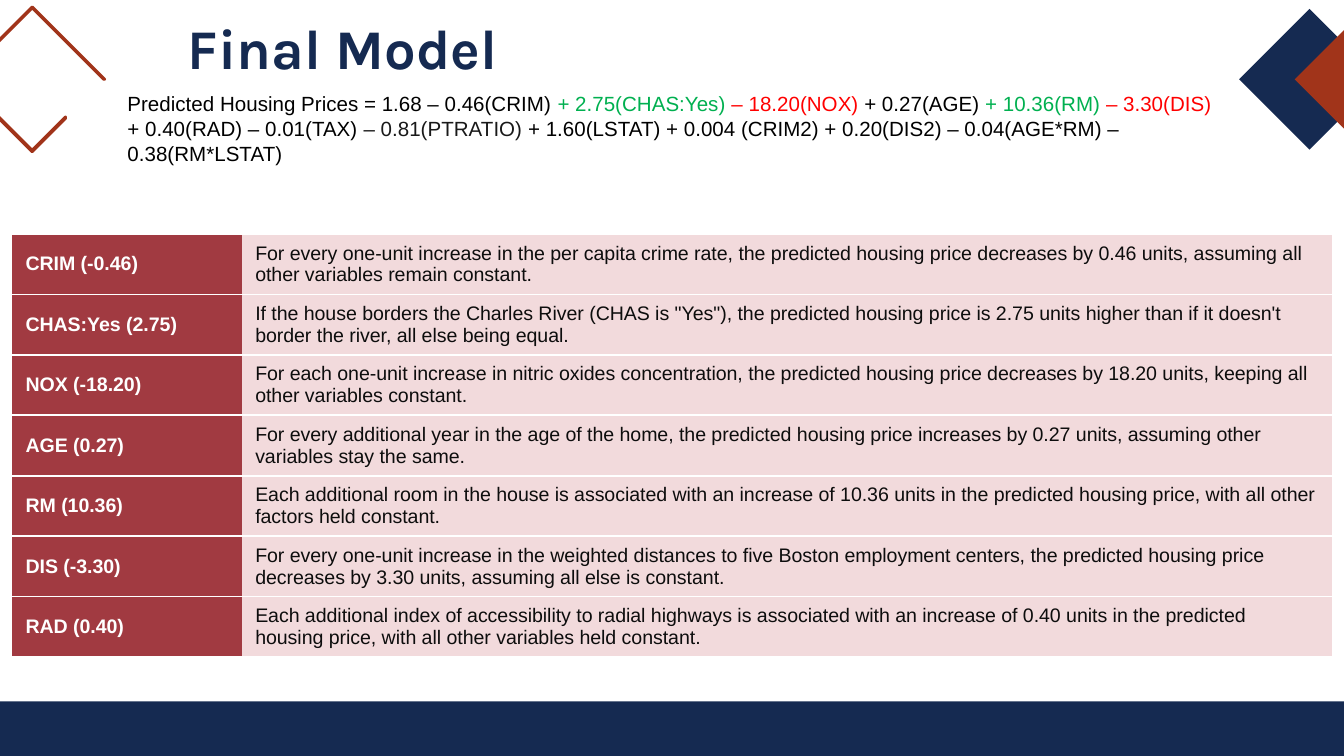
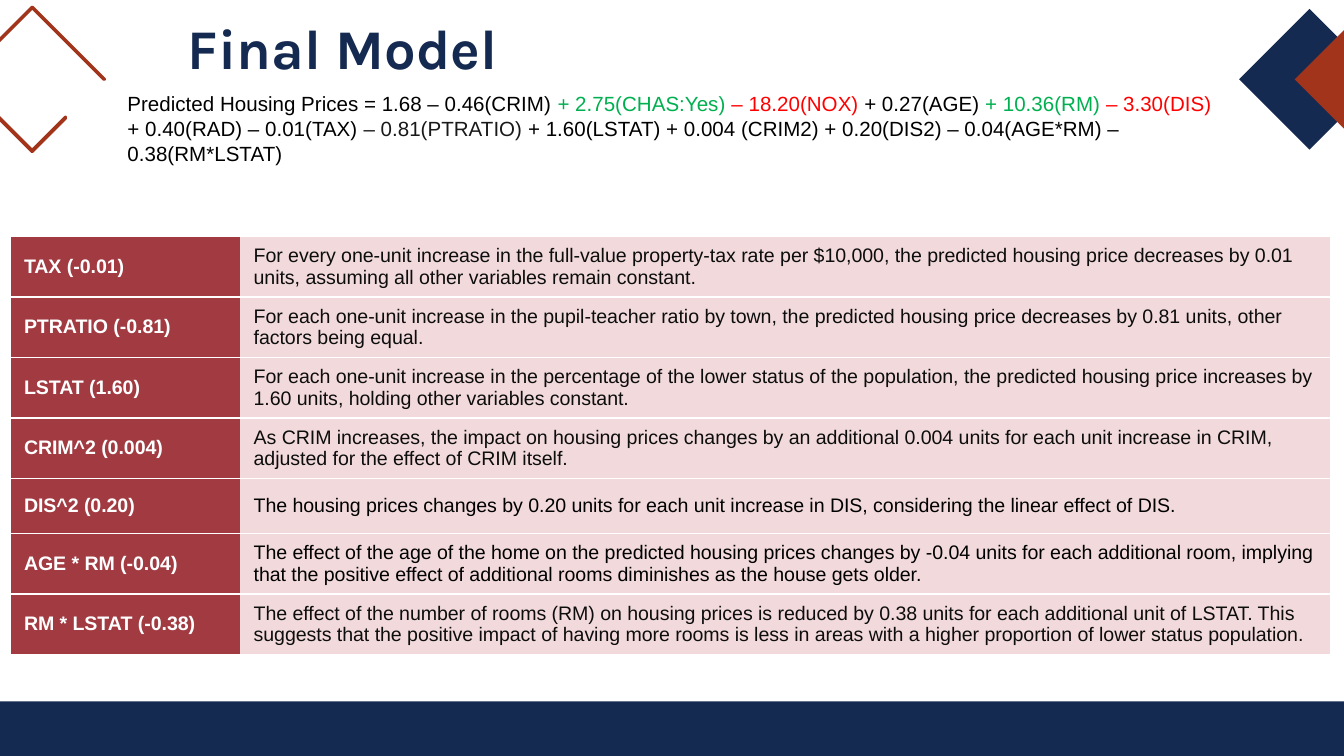
from lxml import etree
from pptx import Presentation
from pptx.dml.color import RGBColor
from pptx.enum.shapes import MSO_SHAPE
from pptx.enum.text import MSO_ANCHOR, PP_ALIGN
from pptx.oxml.ns import qn
from pptx.util import Cm, Pt

NAVY, RUST, WHITE, BLACK = "152A51", "A1341A", "FFFFFF", "000000"
GREEN, RED, CHARCOAL = "00B050", "FF0000", "191919"
LABEL_FILL, MEANING_FILL, MEANING_TEXT = "A13A41", "F2DADC", "0D0D0D"
PLAIN_TABLE_STYLE = "{2D5ABB26-0587-4C30-8999-92F81FD0307C}"

EQUATION = [
    ("Predicted Housing Prices = 1.68 – 0.46(CRIM) ", BLACK),
    ("+ 2.75(CHAS:Yes) ", GREEN),
    ("– 18.20(NOX)", RED),
    (" + 0.27(AGE) ", BLACK),
    ("+ 10.36(RM) ", GREEN),
    ("– 3.30(DIS)", RED),
    (" + 0.40(RAD) – 0.01(TAX) ", BLACK),
    ("– 0.81(PTRATIO)", CHARCOAL),
    (" + 1.60(LSTAT) + 0.004 (CRIM2) + 0.20(DIS2) – 0.04(AGE*RM) – 0.38(RM*LSTAT)", BLACK),
]

MAIN_EFFECTS = [
    ("CRIM (-0.46)", "For every one-unit increase in the per capita crime rate, the predicted "
     "housing price decreases by 0.46 units, assuming all other variables remain constant."),
    ("CHAS:Yes (2.75)", "If the house borders the Charles River (CHAS is \"Yes\"), the predicted "
     "housing price is 2.75 units higher than if it doesn't border the river, all else being equal."),
    ("NOX (-18.20)", "For each one-unit increase in nitric oxides concentration, the predicted "
     "housing price decreases by 18.20 units, keeping all other variables constant."),
    ("AGE (0.27)", "For every additional year in the age of the home, the predicted housing price "
     "increases by 0.27 units, assuming other variables stay the same."),
    ("RM (10.36)", "Each additional room in the house is associated with an increase of 10.36 units "
     "in the predicted housing price, with all other factors held constant."),
    ("DIS (-3.30)", "For every one-unit increase in the weighted distances to five Boston employment "
     "centers, the predicted housing price decreases by 3.30 units, assuming all else is constant."),
    ("RAD (0.40)", "Each additional index of accessibility to radial highways is associated with an "
     "increase of 0.40 units in the predicted housing price, with all other variables held constant."),
]

FURTHER_EFFECTS = [
    ("TAX (-0.01)", "For every one-unit increase in the full-value property-tax rate per $10,000, the "
     "predicted housing price decreases by 0.01 units, assuming all other variables remain constant."),
    ("PTRATIO (-0.81)", "For each one-unit increase in the pupil-teacher ratio by town, the predicted "
     "housing price decreases by 0.81 units, other factors being equal."),
    ("LSTAT (1.60)", "For each one-unit increase in the percentage of the lower status of the "
     "population, the predicted housing price increases by 1.60 units, holding other variables constant."),
    ("CRIM^2 (0.004)", "As CRIM increases, the impact on housing prices changes by an additional 0.004 "
     "units for each unit increase in CRIM, adjusted for the effect of CRIM itself."),
    ("DIS^2 (0.20)", "The housing prices changes by 0.20 units for each unit increase in DIS, "
     "considering the linear effect of DIS.", BLACK),
    ("AGE * RM (-0.04)", "The effect of the age of the home on the predicted housing prices changes by "
     "-0.04 units for each additional room, implying that the positive effect of additional rooms "
     "diminishes as the house gets older.", BLACK),
    ("RM * LSTAT (-0.38)", "The effect of the number of rooms (RM) on housing prices is reduced by 0.38 "
     "units for each additional unit of LSTAT. This suggests that the positive impact of having more "
     "rooms is less in areas with a higher proportion of lower status population."),
]


def rgb(value):
    """Turn a hex string into a colour."""
    return RGBColor.from_string(value)


def write(paragraph, text, size=10.5, color=BLACK, bold=False, font="Arial"):
    """Append a formatted run to a paragraph."""
    run = paragraph.add_run()
    run.text = text
    run.font.size = Pt(size)
    run.font.name = font
    run.font.bold = bold
    run.font.color.rgb = rgb(color)


def diamond(x, y, radius):
    """Return the corners of a diamond around a centre."""
    return [(x - radius, y), (x, y + radius), (x + radius, y), (x, y - radius)]


class ModelDeck:
    """Draw the elements of the model slides in one style."""

    def __init__(self, presentation):
        """Keep the presentation to draw in."""
        self.presentation = presentation
        self.slide = None

    def paint(self, shape, color, line_width=None):
        """Give a shape a flat fill and an optional line of the same colour."""
        shape.shadow.inherit = False
        shape.fill.solid()
        shape.fill.fore_color.rgb = rgb(color)
        if line_width is None:
            shape.line.fill.background()
        else:
            shape.line.color.rgb = rgb(color)
            shape.line.width = Pt(line_width)

    def outline(self, points, color, line_width=None):
        """Draw a closed outline through points given in centimetres."""
        first, *others = [(Cm(x), Cm(y)) for x, y in points]
        builder = self.slide.shapes.build_freeform(*first)
        builder.add_line_segments(others, close=True)
        self.paint(builder.convert_to_shape(), color, line_width)

    def decoration(self):
        """Draw the bottom band and the corner diamonds."""
        band = self.slide.shapes.add_shape(
            MSO_SHAPE.RECTANGLE, Cm(-0.05), Cm(13.26), Cm(25.5), Cm(1.27))
        self.paint(band, NAVY)
        self.outline(diamond(24.75, 1.5, 1.33), NAVY)
        self.outline(diamond(25.8, 1.5, 1.33), RUST)
        hook = [(1.98, 1.5), (0.61, 0.13), (-0.76, 1.5), (0.61, 2.87), (1.24, 2.24),
                (1.24, 2.21), (0.61, 2.84), (-0.74, 1.5), (0.61, 0.15), (1.96, 1.5)]
        self.outline(hook, RUST, line_width=1.5)

    def title(self, text):
        """Place and format the slide title."""
        title = self.slide.shapes.title
        title.left, title.top, title.width, title.height = Cm(3.3), Cm(0), Cm(21.41), Cm(1.6)
        frame = title.text_frame
        frame.margin_left = frame.margin_right = Cm(0.25)
        frame.margin_top = frame.margin_bottom = Cm(0.25)
        frame.vertical_anchor = MSO_ANCHOR.TOP
        paragraph = frame.paragraphs[0]
        paragraph.alignment = PP_ALIGN.LEFT
        write(paragraph, text, size=30, color=NAVY, bold=True, font="Karla")

    def equation(self, terms):
        """Write the model equation with coloured terms."""
        box = self.slide.shapes.add_textbox(Cm(2.16), Cm(1.6), Cm(21.18), Cm(1.68))
        box.text_frame.word_wrap = True
        for text, color in terms:
            write(box.text_frame.paragraphs[0], text, size=11, color=color)

    def cell(self, cell, text, fill, **style):
        """Fill one table cell and rule it above and below."""
        cell.fill.solid()
        cell.fill.fore_color.rgb = rgb(fill)
        cell.vertical_anchor = MSO_ANCHOR.MIDDLE
        write(cell.text_frame.paragraphs[0], text, **style)
        properties = cell._tc.get_or_add_tcPr()
        for index, edge in enumerate(("a:lnT", "a:lnB")):
            line = etree.Element(qn(edge), w=str(Pt(1)))
            solid = etree.SubElement(line, qn("a:solidFill"))
            etree.SubElement(solid, qn("a:srgbClr"), val=WHITE)
            properties.insert(index, line)

    def effects(self, rows, left, top, row_height):
        """Draw the table of coefficients and their meanings."""
        widths = Cm(4.34), Cm(20.6)
        frame = self.slide.shapes.add_table(
            len(rows), 2, Cm(left), Cm(top), sum(widths), Cm(row_height) * len(rows))
        table = frame.table
        table.first_row = table.horz_banding = False
        table._tbl.tblPr.find(qn("a:tableStyleId")).text = PLAIN_TABLE_STYLE
        for column, width in zip(table.columns, widths):
            column.width = width
        for index, (label, meaning, *color) in enumerate(rows):
            self.cell(table.cell(index, 0), label, LABEL_FILL, color=WHITE, bold=True)
            self.cell(table.cell(index, 1), meaning, MEANING_FILL,
                      color=color[0] if color else MEANING_TEXT)

    def model_slide(self, rows, **placement):
        """Add a complete slide about the final model."""
        self.slide = self.presentation.slides.add_slide(self.presentation.slide_layouts[5])
        self.decoration()
        self.title("Final Model")
        self.equation(EQUATION)
        self.effects(rows, **placement)


def main():
    """Build and save the presentation."""
    presentation = Presentation()
    presentation.slide_width, presentation.slide_height = Cm(25.4), Cm(14.29)
    deck = ModelDeck(presentation)
    deck.model_slide(MAIN_EFFECTS, left=0.23, top=4.42, row_height=1.14)
    deck.model_slide(FURTHER_EFFECTS, left=0.2, top=4.47, row_height=1.04)
    presentation.save("out.pptx")


if __name__ == "__main__":
    main()
